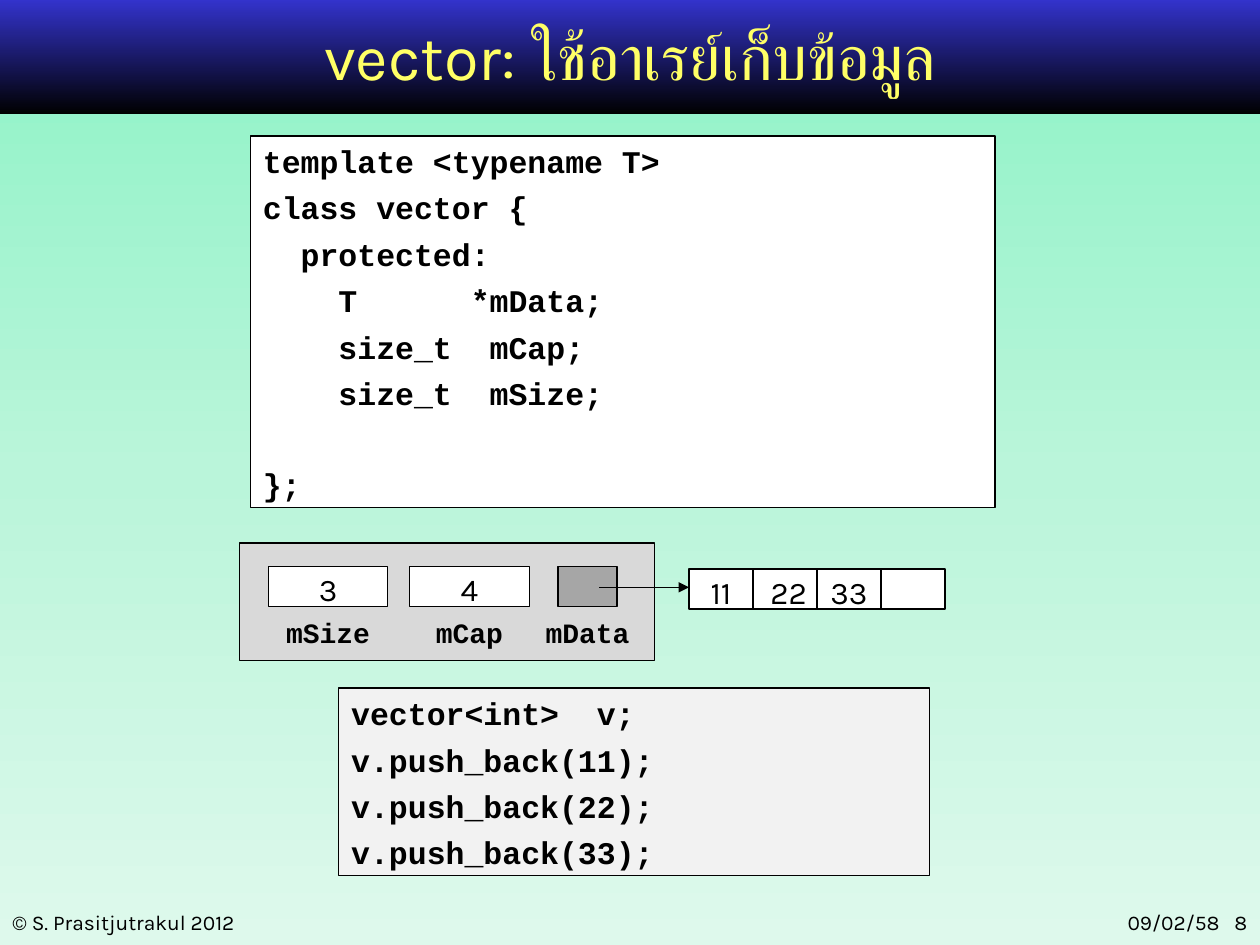
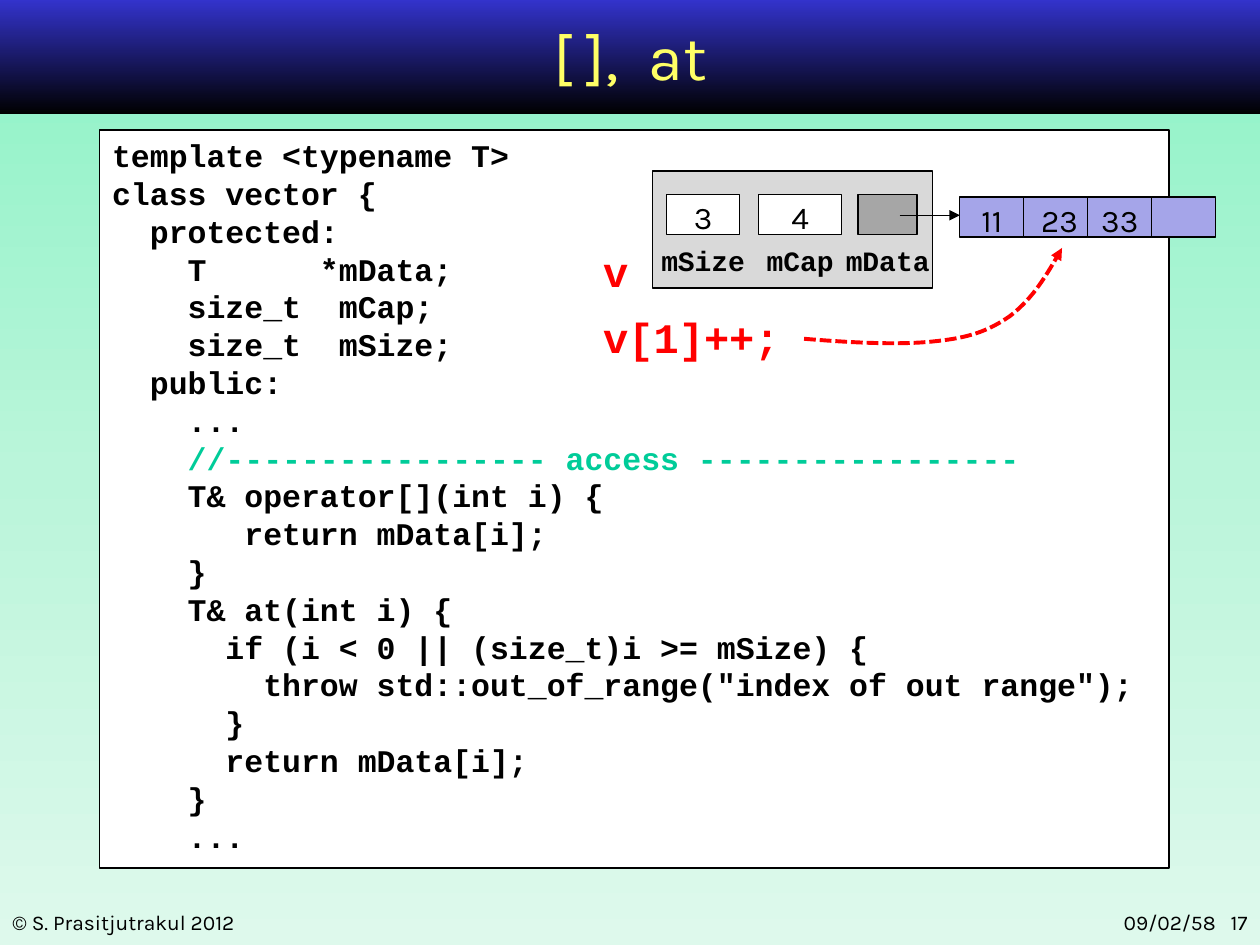
"""Builds two lecture slides about a vector class that keeps its data in an array."""
from copy import deepcopy

from lxml.etree import SubElement
from pptx import Presentation
from pptx.dml.color import RGBColor
from pptx.enum.dml import MSO_LINE
from pptx.enum.shapes import MSO_CONNECTOR, MSO_SHAPE
from pptx.enum.text import MSO_ANCHOR as ANCHOR, MSO_AUTO_SIZE, PP_ALIGN as ALIGN
from pptx.oxml.ns import qn
from pptx.util import Cm, Pt

rgb = RGBColor.from_string
CODE, SANS = "Courier New", "Karla"
BLACK, WHITE, RED, COMMENT = "000000", "FFFFFF", "FF0000", "00CC99"
BACKGROUND = ["8CF2C6", "BAF5DA", "DEF9EC"]
BAND = ["3333CC", BLACK]


def add_box(slide, place, text="", font=CODE, size=18, color=BLACK, fill=None,
            align=ALIGN.LEFT, cell=False, gap=0):
    """Add text in a plain box, or in an outlined rectangle when a fill is given."""
    place = [Cm(length) for length in place]
    if fill:
        shape = slide.shapes.add_shape(MSO_SHAPE.RECTANGLE, *place)
        shape.shadow.inherit = False
        shape.fill.solid()
        shape.fill.fore_color.rgb = rgb(fill)
        shape.line.color.rgb = rgb(BLACK)
        shape.line.width = Pt(0.75)
    else:
        shape = slide.shapes.add_textbox(*place)
    frame = shape.text_frame
    frame.word_wrap = True
    frame.vertical_anchor = ANCHOR.MIDDLE if cell else ANCHOR.TOP
    if cell:
        frame.margin_left = frame.margin_right = frame.margin_top = frame.margin_bottom = 0
    for index, line in enumerate(text.split("\n")):
        paragraph = frame.add_paragraph() if index else frame.paragraphs[0]
        paragraph.text = line
        paragraph.alignment = ALIGN.CENTER if cell else align
        paragraph.font.name = font
        paragraph.font.size = Pt(size)
        paragraph.font.bold = font == CODE
        paragraph.font.color.rgb = rgb(COMMENT if line.lstrip().startswith("//") else color)
        if cell:
            paragraph.line_spacing = 1.15
            paragraph.space_after = Pt(10)
        elif index:
            paragraph.space_before = Pt(gap)
    return shape


def style_arrow(shape, color, width, dash=None):
    """Give a line its colour, width, dash and arrowhead."""
    shape.line.color.rgb = rgb(color)
    shape.line.width = Pt(width)
    if dash:
        shape.line.dash_style = dash
    SubElement(shape.element.find(".//" + qn("a:ln")), qn("a:tailEnd"), type="triangle")


CLASS_CODE = """template <typename T>
class vector {
  protected:
    T      *mData;
    size_t  mCap;
    size_t  mSize;
"""
ACCESS_CODE = CLASS_CODE + """  public:
    ...
    //----------------- access -----------------
    T& operator[](int i) {
       return mData[i];
    }
    T& at(int i) {
      if (i < 0 || (size_t)i >= mSize) {
        throw std::out_of_range("index of out range");
      }
      return mData[i];
    }
    ..."""
USAGE_CODE = """vector<int>  v;
v.push_back(11);
v.push_back(22);
v.push_back(33);"""

presentation = Presentation()
presentation.slide_width, presentation.slide_height = Cm(25.4), Cm(19.05)
master = presentation.slide_master
background = master.background.fill
background.gradient()
background.gradient_angle = 270
first_stop = master.element.find(".//" + qn("a:gs"))
middle_stop = deepcopy(first_stop)
middle_stop.set("pos", "50000")
first_stop.addnext(middle_stop)
for stop, color in zip(background.gradient_stops, BACKGROUND):
    stop.color.rgb = rgb(color)

layout = presentation.slide_layouts[5]
layout_title = layout.placeholders[0]
layout_title.left, layout_title.top = Cm(1.91), Cm(0.05)
layout_title.width, layout_title.height = Cm(21.59), Cm(2.11)

for title_text, number in [("vector: ใช้อาเรย์เก็บข้อมูล", 8), ("[ ],  at", 17)]:
    slide = presentation.slides.add_slide(layout)
    title = slide.shapes.title
    title.text = title_text
    title.text_frame.auto_size = MSO_AUTO_SIZE.NONE
    title.text_frame.vertical_anchor = ANCHOR.MIDDLE
    paragraph = title.text_frame.paragraphs[0]
    paragraph.alignment = ALIGN.CENTER
    paragraph.font.name = SANS
    paragraph.font.size = Pt(36)
    paragraph.font.color.rgb = rgb("FFFF66")

    band = slide.shapes.add_shape(MSO_SHAPE.RECTANGLE, 0, 0, Cm(25.4), Cm(2.31))
    band.shadow.inherit = False
    band.line.fill.background()
    band.fill.gradient()
    band.fill.gradient_angle = 270
    for stop, color in zip(band.fill.gradient_stops, BAND):
        stop.color.rgb = rgb(color)
    title.element.addprevious(band.element)

    add_box(slide, (0, 18.21, 8.26, 0.76), "© S. Prasitjutrakul 2012", SANS, 12)
    add_box(slide, (19.89, 18.21, 5.51, 0.76), f"09/02/58   {number}", SANS, 12,
            align=ALIGN.RIGHT)

array_slide, access_slide = presentation.slides
class_box = add_box(array_slide, (5.05, 2.74, 15.01, 7.49), CLASS_CODE + "};",
                    fill=WHITE, gap=4.9)
class_box.text_frame.paragraphs[-1].space_before = Pt(30.2)
add_box(array_slide, (6.83, 13.87, 11.91, 3.78), USAGE_CODE, fill="F2F2F2", gap=4.9)
add_box(access_slide, (2.01, 2.62, 21.56, 14.88), ACCESS_CODE, fill=WHITE)

diagrams = [
    (array_slide, 4.83, 10.95, 8.36, [(5.41, 2.41), (8.26, 2.41), (11.25, 1.19)],
     13.89, WHITE, ["11", " 22", "33", ""]),
    (access_slide, 13.16, 3.45, 5.64, [(13.44, 1.47), (15.29, 1.68), (17.3, 1.19)],
     19.35, "A5A5E9", ["11", " 23", "33", ""]),
]
fields = [("mSize", "3", WHITE), ("mCap", "4", WHITE), ("mData", "", "A6A6A6")]
for slide, left, top, width, field_places, array_left, array_fill, items in diagrams:
    add_box(slide, (left, top, width, 2.36), fill="D9D9D9")
    for (label, value, fill), (field_left, field_width) in zip(fields, field_places):
        center = field_left + field_width / 2
        add_box(slide, (field_left, top + 0.47, field_width, 0.81), value, SANS,
                fill=fill, cell=True)
        add_box(slide, (center - 1.1, top + 1.33, 2.2, 0.84), label, size=16, cell=True)
    for index, item in enumerate(items):
        add_box(slide, (array_left + 1.29 * index, top + 0.52, 1.29, 0.81), item, SANS,
                fill=array_fill, cell=True)
    pointer = slide.shapes.add_connector(
        MSO_CONNECTOR.STRAIGHT, Cm(center + 0.24), Cm(top + 0.89), Cm(array_left), Cm(top + 0.89))
    style_arrow(pointer, BLACK, 0.75)
    SubElement(pointer.element.spPr, qn("a:effectLst"))

add_box(access_slide, (11.91, 4.83, 1.45, 1.27), "v", size=24, color=RED)
add_box(access_slide, (11.91, 6.15, 4.85, 1.27), "v[1]++;", size=24, color=RED)

curve_points = [(17.17, 6.91), (18.14, 6.96), (18.85, 6.88), (19.53, 6.81), (19.91, 6.68),
                (20.35, 6.38), (20.78, 6.05), (21.11, 5.54), (21.41, 5.0)]
builder = access_slide.shapes.build_freeform(Cm(16.21), Cm(6.83))
builder.add_line_segments([(Cm(x), Cm(y)) for x, y in curve_points], close=False)
curve = builder.convert_to_shape()
curve.shadow.inherit = False
curve.fill.background()
outline = curve.element.find(".//" + qn("a:path"))
segments = outline.findall(qn("a:lnTo"))
for start in range(0, len(segments), 3):
    bezier = SubElement(outline, qn("a:cubicBezTo"))
    for segment in segments[start:start + 3]:
        bezier.append(segment[0])
        outline.remove(segment)
style_arrow(curve, RED, 2.25, MSO_LINE.SQUARE_DOT)

presentation.save("out.pptx")
